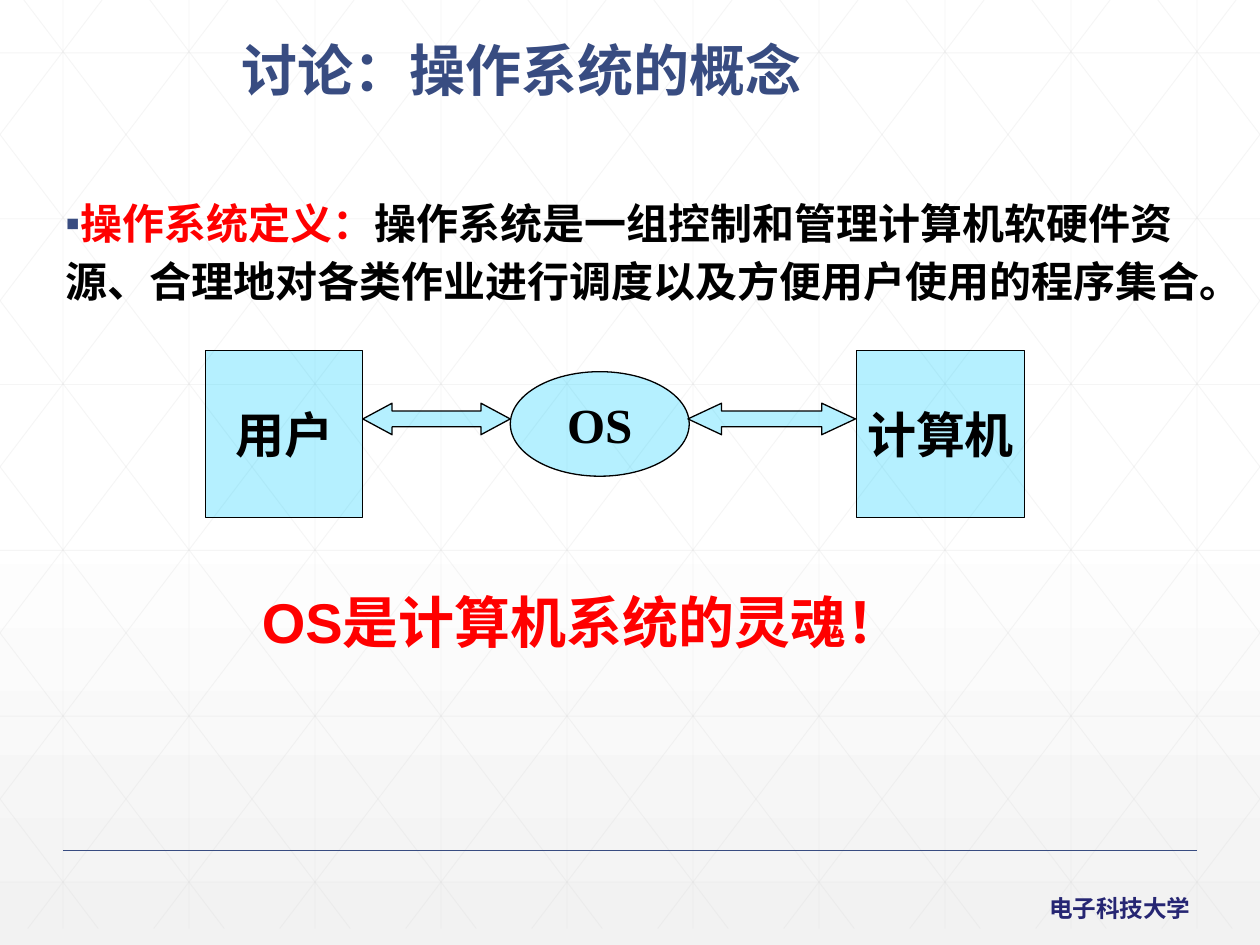
from lxml.etree import SubElement
from pptx import Presentation
from pptx.dml.color import RGBColor
from pptx.enum.shapes import MSO_CONNECTOR, MSO_SHAPE
from pptx.enum.text import MSO_ANCHOR, PP_ALIGN
from pptx.oxml.ns import qn
from pptx.util import Inches, Pt

WHITE = RGBColor(0xFF, 0xFF, 0xFF)
PALE_GRAY = RGBColor(0xF2, 0xF2, 0xF2)
GRID_GRAY = RGBColor(0xD9, 0xD9, 0xD9)
BLUE = RGBColor(0x38, 0x4C, 0x81)
NAVY = RGBColor(0x26, 0x26, 0x73)
RED = RGBColor(0xFF, 0x00, 0x00)
BLACK = RGBColor(0x00, 0x00, 0x00)
CYAN = RGBColor(0x00, 0xCC, 0xFF)

CHINESE_FONT = "Noto Sans CJK SC"
SLIDE_WIDTH = 10
GRID_BOTTOM = 7.37
DIAGONAL_RUN = 5.59


def set_alpha(fill, percent):
    color = fill._xPr.find(qn("a:solidFill"))[0]
    SubElement(color, qn("a:alpha")).set("val", str(percent * 1000))


def set_background(slide):
    fill = slide.background.fill
    fill.gradient()
    fill.gradient_angle = 270
    for stop, position, color in zip(fill.gradient_stops, (0.53, 1), (WHITE, PALE_GRAY)):
        stop.position = position
        stop.color.rgb = color


def add_line(slide, start, end, color, width, alpha=100):
    points = [Inches(value) for value in (*start, *end)]
    connector = slide.shapes.add_connector(MSO_CONNECTOR.STRAIGHT, *points)
    connector.line.color.rgb = color
    connector.line.width = Pt(width)
    if alpha < 100:
        set_alpha(connector.line.fill, alpha)
    SubElement(connector._element.spPr, qn("a:effectLst"))


def add_grid(slide):
    lines = [((x + 0.5, 0), (x + 0.5, GRID_BOTTOM)) for x in range(SLIDE_WIDTH)]
    for row in range(6):
        y = 0.42 + 1.316 * row
        lines.append(((0, y), (SLIDE_WIDTH, y)))
    slope = GRID_BOTTOM / DIAGONAL_RUN
    for column in range(-5, SLIDE_WIDTH):
        origin = 0.19 + column
        left = max(origin, 0)
        right = min(origin + DIAGONAL_RUN, SLIDE_WIDTH)
        top, bottom = (left - origin) * slope, (right - origin) * slope
        lines.append(((left, top), (right, bottom)))
        lines.append(((SLIDE_WIDTH - left, top), (SLIDE_WIDTH - right, bottom)))
    for start, end in lines:
        add_line(slide, start, end, GRID_GRAY, 0.5, alpha=25)


def add_bullet(paragraph, character, color):
    properties = paragraph._p.get_or_add_pPr()
    properties.set("marL", "0")
    properties.set("indent", "0")
    bullet_color = SubElement(properties, qn("a:buClr"))
    SubElement(bullet_color, qn("a:srgbClr")).set("val", str(color))
    SubElement(properties, qn("a:buFont")).set("typeface", "Arial")
    SubElement(properties, qn("a:buChar")).set("char", character)


def write_text(shape, *runs, size, font=CHINESE_FONT, line_points=None,
               align=PP_ALIGN.LEFT, wrap=True, anchor=MSO_ANCHOR.TOP, bullet=None):
    frame = shape.text_frame
    frame.word_wrap = wrap
    frame.vertical_anchor = anchor
    paragraph = frame.paragraphs[0]
    if bullet:
        add_bullet(paragraph, bullet, BLUE)
    paragraph.alignment = align
    if line_points:
        paragraph.line_spacing = Pt(line_points)
    for text, color in runs:
        run = paragraph.add_run()
        run.text = text
        run.font.size = Pt(size)
        run.font.bold = True
        run.font.color.rgb = color
        run.font.name = font
        SubElement(run._r.get_or_add_rPr(), qn("a:ea")).set("typeface", CHINESE_FONT)


def add_text(slide, box, *runs, **text_format):
    shape = slide.shapes.add_textbox(*[Inches(value) for value in box])
    write_text(shape, *runs, **text_format)


def add_diagram_shape(slide, kind, box, label=None):
    shape = slide.shapes.add_shape(kind, *[Inches(value) for value in box])
    shape.shadow.inherit = False
    shape.fill.solid()
    shape.fill.fore_color.rgb = CYAN
    set_alpha(shape.fill, 29)
    shape.line.color.rgb = BLACK
    shape.line.width = Pt(0.75)
    if label:
        write_text(shape, (label, BLACK), size=28, font="Times New Roman",
                   align=PP_ALIGN.CENTER, wrap=False, anchor=MSO_ANCHOR.MIDDLE)
    return shape


def add_double_arrow(slide, box, head_ratio):
    arrow = add_diagram_shape(slide, MSO_SHAPE.LEFT_RIGHT_ARROW, box)
    arrow.adjustments[0] = 0.5
    arrow.adjustments[1] = head_ratio


def main():
    presentation = Presentation()
    presentation.slide_width = Inches(SLIDE_WIDTH)
    presentation.slide_height = Inches(7.5)
    slide = presentation.slides.add_slide(presentation.slide_layouts[6])

    set_background(slide)
    add_grid(slide)
    add_line(slide, (0.5, 6.75), (9.5, 6.75), BLUE, 1)
    add_text(slide, (8.23, 7.05, 1.34, 0.33), ("电子科技大学", NAVY),
             size=13.5, line_points=16, wrap=False)
    add_text(slide, (0.42, 1.46, 9.21, 1.1),
             ("操作系统定义：", RED),
             ("操作系统是一组控制和管理计算机软硬件资源、合理地对各类作业进行调度以及方便用户使用的程序集合。", BLACK),
             size=24, line_points=33, bullet="▪")
    add_text(slide, (1.82, 0.28, 8, 0.7), ("讨论：操作系统的概念", BLUE),
             size=32, line_points=35)

    add_diagram_shape(slide, MSO_SHAPE.RECTANGLE, (1.63, 2.78, 1.25, 1.33), "用户")
    add_diagram_shape(slide, MSO_SHAPE.RECTANGLE, (6.8, 2.78, 1.33, 1.33), "计算机")
    add_diagram_shape(slide, MSO_SHAPE.OVAL, (4.05, 2.95, 1.42, 0.83), "OS")
    add_double_arrow(slide, (2.88, 3.2, 1.17, 0.25), 0.93)
    add_double_arrow(slide, (5.46, 3.2, 1.33, 0.25), 1.07)

    add_text(slide, (1.98, 4.62, 7, 0.63), ("OS是计算机系统的灵魂！", RED),
             size=32, font="Arial", line_points=38)
    presentation.save("out.pptx")


if __name__ == "__main__":
    main()
